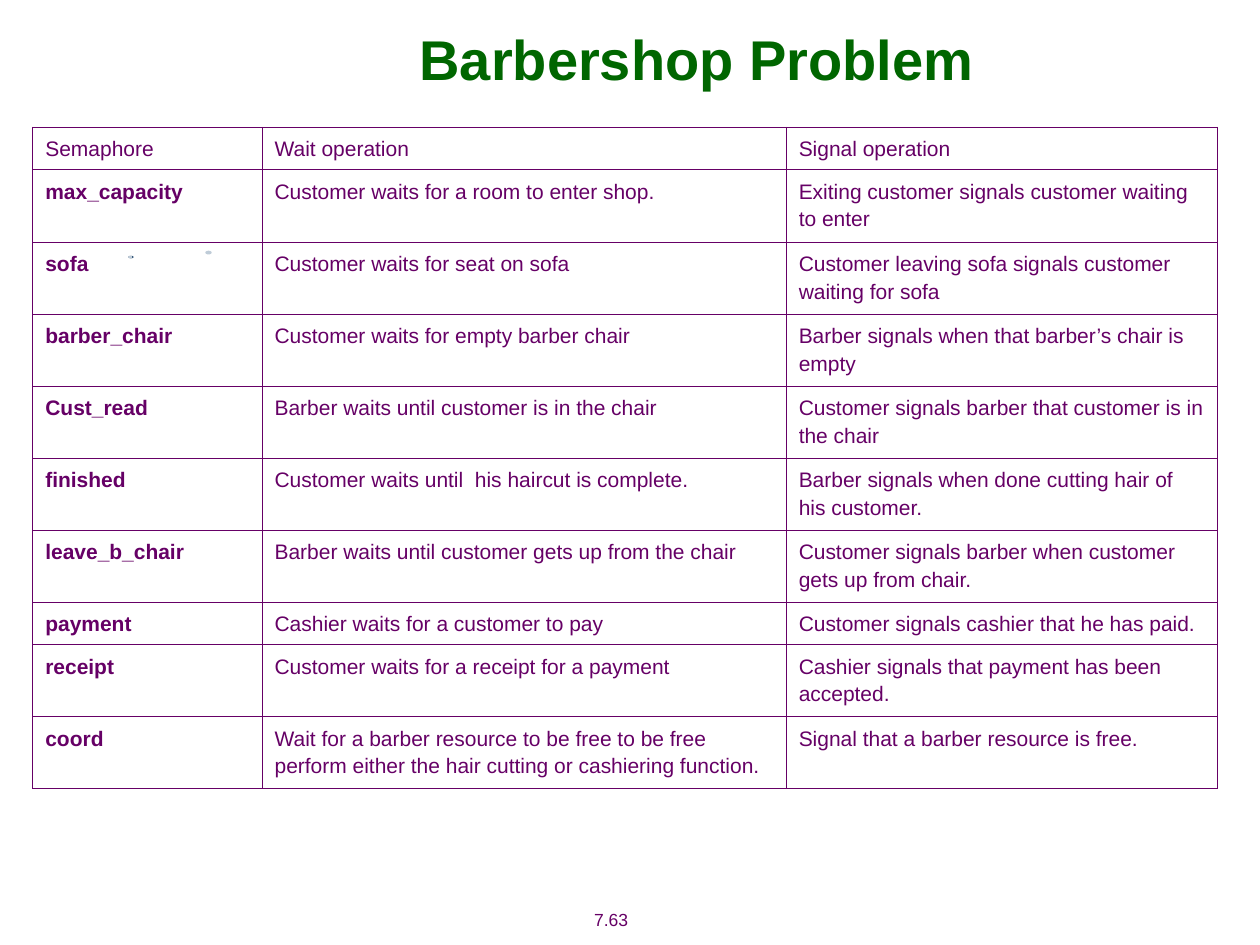
from math import cos, pi, sin
from typing import NamedTuple

from lxml.etree import SubElement
from pptx import Presentation
from pptx.dml.color import RGBColor
from pptx.enum.shapes import MSO_SHAPE as Shape
from pptx.enum.text import MSO_ANCHOR as Anchor, MSO_AUTO_SIZE as AutoSize, PP_ALIGN as Align
from pptx.oxml.ns import qn
from pptx.slide import Slide
from pptx.table import _Cell as Cell
from pptx.text.text import TextFrame
from pptx.util import Inches, Pt

COLORS = {
    "title": "006600",
    "text": "660066",
    "frame": "FFFFFF",
    "dark speck": "284C70",
    "light speck": "BFCCD8",
}
FONT = "Arial"
OUTER_BORDER, INNER_BORDER = 0.5, 0.23
COLUMN_WIDTHS = (1.82, 4.16, 3.42)
SHORT_ROW, TALL_ROW = 0.32, 0.56


class Semaphore(NamedTuple):
    name: str
    wait: str
    signal: str
    height: float = TALL_ROW


class Speck(NamedTuple):
    left: float
    top: float
    width: float
    height: float
    color: str


HEADER = Semaphore("Semaphore", "Wait operation", "Signal operation", SHORT_ROW)
SEMAPHORES = (
    Semaphore("max_capacity", "Customer waits for a room to enter shop.",
              "Exiting customer signals customer waiting to enter"),
    Semaphore("sofa", "Customer waits for seat on sofa",
              "Customer leaving sofa signals customer waiting for sofa"),
    Semaphore("barber_chair", "Customer waits for empty barber chair",
              "Barber signals when that barber’s chair is empty"),
    Semaphore("Cust_read", "Barber waits until customer is in the chair",
              "Customer signals barber that customer is in the chair"),
    Semaphore("finished", "Customer waits until  his haircut is complete.",
              "Barber signals when done cutting hair of his customer."),
    Semaphore("leave_b_chair", "Barber waits until customer gets up from the chair",
              "Customer signals barber when customer gets up from chair."),
    Semaphore("payment", "Cashier waits for a customer to pay",
              "Customer signals cashier that he has paid.", SHORT_ROW),
    Semaphore("receipt", "Customer waits for a receipt for a payment",
              "Cashier signals that payment has been accepted."),
    Semaphore("coord",
              "Wait for a barber resource to be free to be free perform either "
              "the hair cutting or cashiering function.",
              "Signal that a barber resource is free."),
)
SPECKS = (
    Speck(1.02, 2.03, 0.04, 0.02, "dark speck"),
    Speck(1.02, 2.03, 0.03, 0.02, "light speck"),
    Speck(1.63, 1.99, 0.05, 0.03, "light speck"),
)


def rgb(name: str) -> RGBColor:
    return RGBColor.from_string(COLORS[name])


def write(frame: TextFrame, text: str, size: float, color: str = "text",
          bold: bool = False, align: Align = Align.LEFT,
          space_before: float = 0, line_spacing: float = 1.0) -> None:
    frame.text = text
    paragraph = frame.paragraphs[0]
    paragraph.alignment = align
    paragraph.space_before = Pt(space_before)
    paragraph.line_spacing = line_spacing
    font = paragraph.runs[0].font
    font.name, font.size, font.bold = FONT, Pt(size), bold
    font.color.rgb = rgb(color)


def add_frame(slide: Slide) -> None:
    frame = slide.shapes.add_shape(Shape.RECTANGLE, 0, 0, Inches(10), Inches(7.5))
    frame.shadow.inherit = False
    frame.fill.background()
    frame.line.color.rgb = rgb("frame")
    frame.line.width = Pt(0.75)


def add_page_number(slide: Slide, number: str) -> None:
    box = slide.shapes.add_textbox(Inches(4.38), Inches(7.16), Inches(0.94), Inches(0.27))
    frame = box.text_frame
    frame.word_wrap = False
    frame.auto_size = AutoSize.SHAPE_TO_FIT_TEXT
    frame.vertical_anchor = Anchor.MIDDLE
    write(frame, number, 10, align=Align.CENTER, space_before=6.2)


def add_speck(slide: Slide, speck: Speck, corners: int = 16) -> None:
    """Draw a filled oval outline inside the speck's box."""
    radius_x, radius_y = speck.width / 2, speck.height / 2
    points = [
        (Inches(speck.left + radius_x * (1 + cos(2 * pi * corner / corners))),
         Inches(speck.top + radius_y * (1 + sin(2 * pi * corner / corners))))
        for corner in range(corners)
    ]
    builder = slide.shapes.build_freeform(*points[0])
    builder.add_line_segments(points[1:], close=True)
    shape = builder.convert_to_shape()
    shape.shadow.inherit = False
    shape.fill.solid()
    shape.fill.fore_color.rgb = rgb(speck.color)
    shape.line.fill.background()


def set_title(slide: Slide, text: str) -> None:
    title = slide.shapes.title
    title.left, title.top = Inches(1.28), Inches(0)
    title.width, title.height = Inches(8.5), Inches(0.92)
    frame = title.text_frame
    frame.auto_size = AutoSize.NONE
    frame.vertical_anchor = Anchor.MIDDLE
    write(frame, text, 32, "title", bold=True, align=Align.CENTER)


def set_borders(cell: Cell, outer_sides: dict[str, bool]) -> None:
    """Line all four sides, with the wider line where a side is on the table's edge."""
    properties = cell._tc.get_or_add_tcPr()
    for index, (side, is_outer) in enumerate(outer_sides.items()):
        width = Pt(OUTER_BORDER if is_outer else INNER_BORDER)
        line = SubElement(properties, qn(f"a:ln{side}"), w=str(width))
        fill = SubElement(line, qn("a:solidFill"))
        SubElement(fill, qn("a:srgbClr"), val=COLORS["text"])
        properties.insert(index, line)


def add_semaphore_table(slide: Slide) -> None:
    rows = (HEADER, *SEMAPHORES)
    last_row, last_column = len(rows) - 1, len(COLUMN_WIDTHS) - 1
    table = slide.shapes.add_table(
        len(rows), len(COLUMN_WIDTHS), Inches(0.26), Inches(1.01),
        Inches(sum(COLUMN_WIDTHS)), Inches(sum(row.height for row in rows))).table
    table.first_row = table.horz_banding = False
    for column, width in zip(table.columns, COLUMN_WIDTHS):
        column.width = Inches(width)
    for r, row in enumerate(rows):
        table.rows[r].height = Inches(row.height)
        for c, text in enumerate((row.name, row.wait, row.signal)):
            cell = table.cell(r, c)
            cell.margin_left = cell.margin_right = Inches(0.1)
            cell.margin_top = cell.margin_bottom = Inches(0.05)
            cell.fill.background()
            set_borders(cell, {"L": c == 0, "R": c == last_column,
                               "T": r == 0, "B": r == last_row})
            write(cell.text_frame, text, 12, bold=r > 0 and c == 0,
                  space_before=3, line_spacing=1.18)


def main() -> None:
    presentation = Presentation()
    presentation.slide_width, presentation.slide_height = Inches(10), Inches(7.5)
    slide = presentation.slides.add_slide(presentation.slide_layouts[5])
    add_frame(slide)
    add_page_number(slide, "7.63")
    for speck in SPECKS:
        add_speck(slide, speck)
    set_title(slide, "Barbershop Problem")
    add_semaphore_table(slide)
    presentation.save("out.pptx")


if __name__ == "__main__":
    main()
